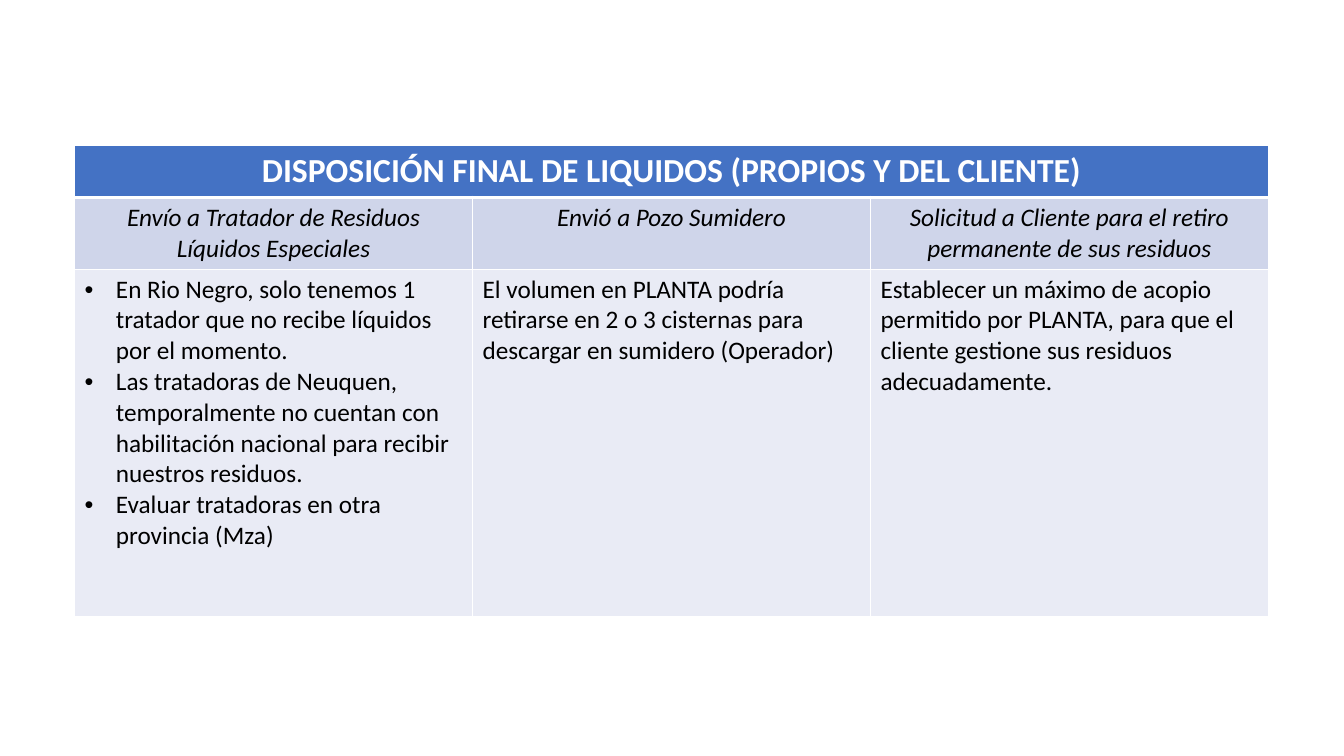
from dataclasses import dataclass

from lxml.etree import SubElement
from pptx import Presentation
from pptx.dml.color import RGBColor as RGB
from pptx.enum.text import PP_ALIGN as Align
from pptx.oxml.ns import qn
from pptx.util import Inches, Pt

TITLE = "DISPOSICIÓN FINAL DE LIQUIDOS (PROPIOS Y DEL CLIENTE)"
OPTIONS = [
    ("Envío a Tratador de Residuos Líquidos Especiales", [
        "En Rio Negro, solo tenemos 1 tratador que no recibe líquidos por el momento.",
        "Las tratadoras de Neuquen, temporalmente no cuentan con habilitación "
        "nacional para recibir nuestros residuos.",
        "Evaluar tratadoras en otra provincia (Mza)",
    ]),
    ("Envió a Pozo Sumidero", [
        "El volumen en PLANTA podría retirarse en 2 o 3 cisternas para "
        "descargar en sumidero (Operador)",
    ]),
    ("Solicitud a Cliente para el retiro permanente de sus residuos", [
        "Establecer un máximo de acopio permitido por PLANTA, para que el "
        "cliente gestione sus residuos adecuadamente.",
    ]),
]


@dataclass(frozen=True)
class Theme:
    font: str = "Calibri"
    head: str = "4472C4"
    sub: str = "CFD5EA"
    body: str = "E9EBF5"
    white: str = "FFFFFF"
    black: str = "000000"
    big: int = 24
    small: int = 18
    thin: int = 1
    thick: int = 3


THEME = Theme()
LEFT, TOP, WIDTH = 0.74, 1.44, 11.84
ROWS = [0.52, 0.7, 3.45]
INDENT = Inches(0.31)


def set_borders(cell, top, bottom):
    props = cell._tc.get_or_add_tcPr()
    widths = {"L": THEME.thin, "R": THEME.thin, "T": top, "B": bottom}
    for spot, (side, width) in enumerate(widths.items()):
        line = SubElement(props, qn(f"a:ln{side}"), w=str(Pt(width)))
        fill = SubElement(line, qn("a:solidFill"))
        SubElement(fill, qn("a:srgbClr"), val=THEME.white)
        props.insert(spot, line)


def add_bullet(para):
    props = para._p.get_or_add_pPr()
    props.set("marL", str(INDENT))
    props.set("indent", str(-INDENT))
    SubElement(props, qn("a:buFont"), typeface="Arial")
    SubElement(props, qn("a:buChar"), char="•")


def fill_cell(cell, lines, fill, color=THEME.black, size=THEME.small,
              align=Align.LEFT, bold=False, italic=False):
    cell.fill.solid()
    cell.fill.fore_color.rgb = RGB.from_string(fill)
    frame = cell.text_frame
    frame.text = "\n".join(lines)
    for para in frame.paragraphs:
        para.alignment = align
        font = para.font
        font.name, font.size = THEME.font, Pt(size)
        font.bold, font.italic = bold, italic
        font.color.rgb = RGB.from_string(color)
        if len(lines) > 1:
            add_bullet(para)


def build_table(slide):
    count = len(OPTIONS)
    frame = slide.shapes.add_table(len(ROWS), count, Inches(LEFT), Inches(TOP),
                                   Inches(WIDTH), Inches(sum(ROWS)))
    table = frame.table
    for row, height in zip(table.rows, ROWS):
        row.height = Inches(height)

    table.cell(0, 0).merge(table.cell(0, count - 1))
    fill_cell(table.cell(0, 0), [TITLE], THEME.head, THEME.white, THEME.big,
              Align.CENTER, bold=True)
    for col, (name, lines) in enumerate(OPTIONS):
        fill_cell(table.cell(1, col), [name], THEME.sub, align=Align.CENTER,
                  italic=True)
        fill_cell(table.cell(2, col), lines, THEME.body)
        for row in range(len(ROWS)):
            set_borders(table.cell(row, col),
                        THEME.thick if row == 1 else THEME.thin,
                        THEME.thick if row == 0 else THEME.thin)


def main():
    deck = Presentation()
    deck.slide_width, deck.slide_height = Inches(13.33), Inches(7.5)
    build_table(deck.slides.add_slide(deck.slide_layouts[6]))
    deck.save("out.pptx")


if __name__ == "__main__":
    main()
